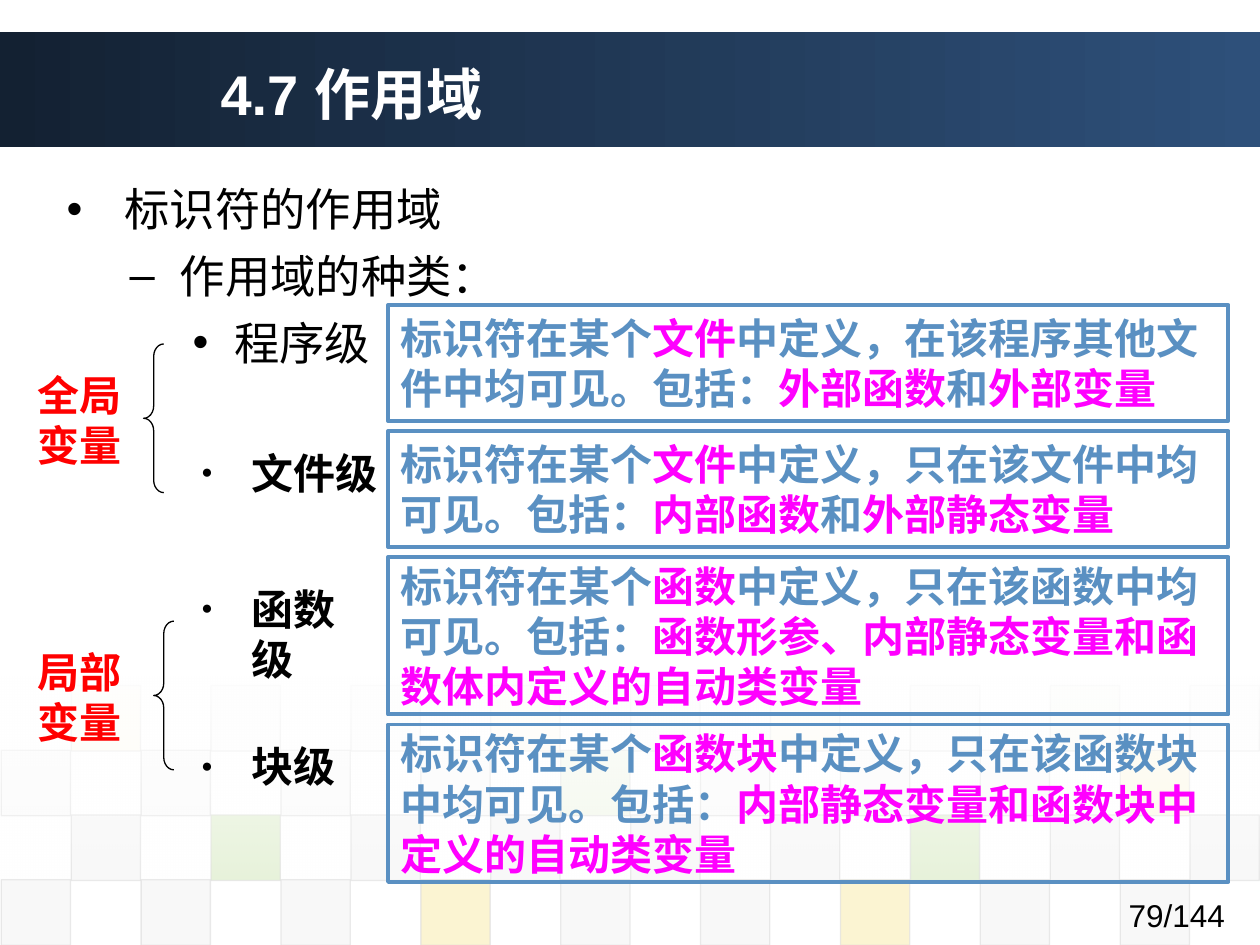
from lxml.etree import SubElement
from pptx import Presentation
from pptx.dml.color import RGBColor
from pptx.enum.shapes import MSO_SHAPE
from pptx.enum.text import MSO_ANCHOR, MSO_AUTO_SIZE, PP_ALIGN
from pptx.oxml.ns import qn
from pptx.util import Inches, Pt


def paint(color, value, alpha=None):
    """Set a colour from a hex string, with opacity in percent."""
    color.rgb = RGBColor.from_string(value)
    if alpha is not None:
        for tone in color._xFill.iter(qn("a:srgbClr")) if hasattr(color, "_xFill") else []:
            SubElement(tone, qn("a:alpha"), val=str(alpha * 1000))


def write(box, lines, tones, size, face="Arial", bold=True, bullet=None):
    """Fill a shape; "|" in a line switches to the next tone.
    bullet is (sign, size in percent, list of (margin, hang))."""
    frame = box.text_frame
    frame.word_wrap = True
    for i, line in enumerate(lines):
        para = frame.paragraphs[0] if i == 0 else frame.add_paragraph()
        para.alignment = PP_ALIGN.LEFT
        if bullet:
            signs, scale, steps = bullet
            left, hang = steps[i]
            props = para._p.get_or_add_pPr()
            props.set("marL", str(Inches(left)))
            props.set("indent", str(-Inches(hang)))
            if i:
                para.space_before = Pt(7)
            tint = SubElement(props, qn("a:buClr"))
            SubElement(tint, qn("a:srgbClr"), val="000000")
            SubElement(props, qn("a:buSzPct"), val=str(scale * 1000))
            SubElement(props, qn("a:buFont"), typeface="Arial")
            SubElement(props, qn("a:buChar"), char=signs[i])
        para.font.name, para.font.size, para.font.bold = face, Pt(size), bold
        for k, part in enumerate(line.split("|")):
            if part:
                run = para.add_run()
                run.text = part
                paint(run.font.color, tones[k % len(tones)])


deck = Presentation()
deck.slide_width, deck.slide_height = Inches(10), Inches(7.5)
slide = deck.slides.add_slide(deck.slide_layouts[5])
shapes = slide.shapes

# Title band
band = shapes.add_shape(MSO_SHAPE.RECTANGLE, 0, Inches(0.25), Inches(10), Inches(0.92))

# Checkered tiles: D and E grey, G green, Y yellow
hues = {"D": "DDDDDD", "E": "EAEAEA", "G": "8AC246", "Y": "EFC821"}
rows = [(1, "YEEYDYEGE", 5), (0, "DDDDGDDDY", 10),
        (1, "DGDDDDGDD", 20), (0, "DDDYDDYDD", 20)]
pitch = 0.555
for r, (start, codes, alpha) in enumerate(rows):
    for c, code in enumerate(codes):
        tile = shapes.add_shape(
            MSO_SHAPE.RECTANGLE, Inches(0.01 + pitch * (start + 2 * c)),
            Inches(5.44 + 0.514 * r), Inches(0.55), Inches(0.52))
        tile.shadow.inherit = False
        tile.fill.solid()
        paint(tile.fill.fore_color, hues[code])
        paint(tile.line.color, "DDDDDD")
        tile.line.width = Pt(0.75)
        tones = tile.element.spPr.iter(qn("a:srgbClr"))
        for tone, share in zip(list(tones), (alpha, 60)):
            SubElement(tone, qn("a:alpha"), val=str(share * 1000))

# White veil over the tiles
veil = shapes.add_shape(MSO_SHAPE.RECTANGLE, 0, Inches(5.37), Inches(10), Inches(1.62))
for shape, ends, angle in ((band, ("132132", "2E507A"), 0),
                           (veil, ("FFFFFF", "FFFFFF"), 270)):
    shape.shadow.inherit = False
    shape.line.fill.background()
    shape.fill.gradient()
    shape.fill.gradient_angle = angle
    for stop, value, spot in zip(shape.fill.gradient_stops, ends, (0, 1)):
        paint(stop.color, value)
        stop.position = spot
for tone, share in zip(list(veil.element.spPr.iter(qn("a:srgbClr"))), (90, 0)):
    SubElement(tone, qn("a:alpha"), val=str(share * 1000))

# Title, brought in front of the band
title = shapes.title
title.left, title.top = Inches(1.53), Inches(0.28)
title.width, title.height = Inches(8.08), Inches(0.92)
title.text_frame.auto_size = MSO_AUTO_SIZE.NONE
title.text_frame.vertical_anchor = MSO_ANCHOR.MIDDLE
title.text_frame.margin_left = Inches(0.22)
write(title, ["4.7 作用域"], ["FFFFFF"], 32)
title.element.getparent().append(title.element)

# Outline
body = shapes.add_textbox(Inches(0.43), Inches(1.39), Inches(9), Inches(1.62))
write(body, ["标识符的作用域", "作用域的种类：", "程序级"], ["000000"], 25.9,
      "Calibri", False, ("•–•", 100, [(0.46, 0.46), (0.9, 0.4), (1.33, 0.33)]))

# Further levels
for name, top, width in (("文件级", 3.5, 1.67), ("函数级", 4.58, 1.58), ("块级", 5.83, 1.33)):
    level = shapes.add_textbox(Inches(1.5), Inches(top), Inches(width), Inches(0.5))
    write(level, [name], ["000000"], 24, bullet=("●", 45, [(0.4, 0.4)]))

# Framed definitions
notes = [
    (2.42, 0.92, ["标识符在某个|文件|中定义，在该程序其他文",
                  "件中均可见。包括：|外部函数|和|外部变量"]),
    (3.42, 0.92, ["标识符在某个|文件|中定义，只在该文件中均",
                  "可见。包括：|内部函数|和|外部静态变量"]),
    (4.42, 1.25, ["标识符在某个|函数|中定义，只在该函数中均",
                  "可见。包括：|函数形参、内部静态变量和函", "|数体内定义的自动类变量"]),
    (5.75, 1.25, ["标识符在某个|函数块|中定义，只在该函数块",
                  "中均可见。包括：|内部静态变量和函数块中", "|定义的自动类变量"]),
]
for top, height, lines in notes:
    note = shapes.add_shape(MSO_SHAPE.RECTANGLE, Inches(3.08), Inches(top),
                            Inches(6.67), Inches(height))
    note.shadow.inherit = False
    note.fill.background()
    paint(note.line.color, "5A90C2")
    note.line.width = Pt(2.25)
    note.text_frame.vertical_anchor = MSO_ANCHOR.MIDDLE
    write(note, lines, ["5A90C2", "FF00FF"], 24)

# Braces with their labels
for name, left, top in (("全局", 1.14, 2.73), ("局部", 1.22, 4.93)):
    brace = shapes.add_shape(MSO_SHAPE.LEFT_BRACE, Inches(left), Inches(top),
                             Inches(0.16), Inches(1.18))
    brace.shadow.inherit = False
    brace.adjustments[0] = 0.62
    brace.fill.background()
    paint(brace.line.color, "000000")
    brace.line.width = Pt(0.75)
    label = shapes.add_textbox(Inches(0.2), Inches(top + 0.15), Inches(0.9), Inches(0.9))
    write(label, [name, "变量"], ["FF0000"], 24)

# Page number
page = shapes.add_textbox(Inches(8.86), Inches(7.06), Inches(1.1), Inches(0.4))
write(page, ["79/144"], ["000000"], 18, bold=False)

deck.save("out.pptx")
